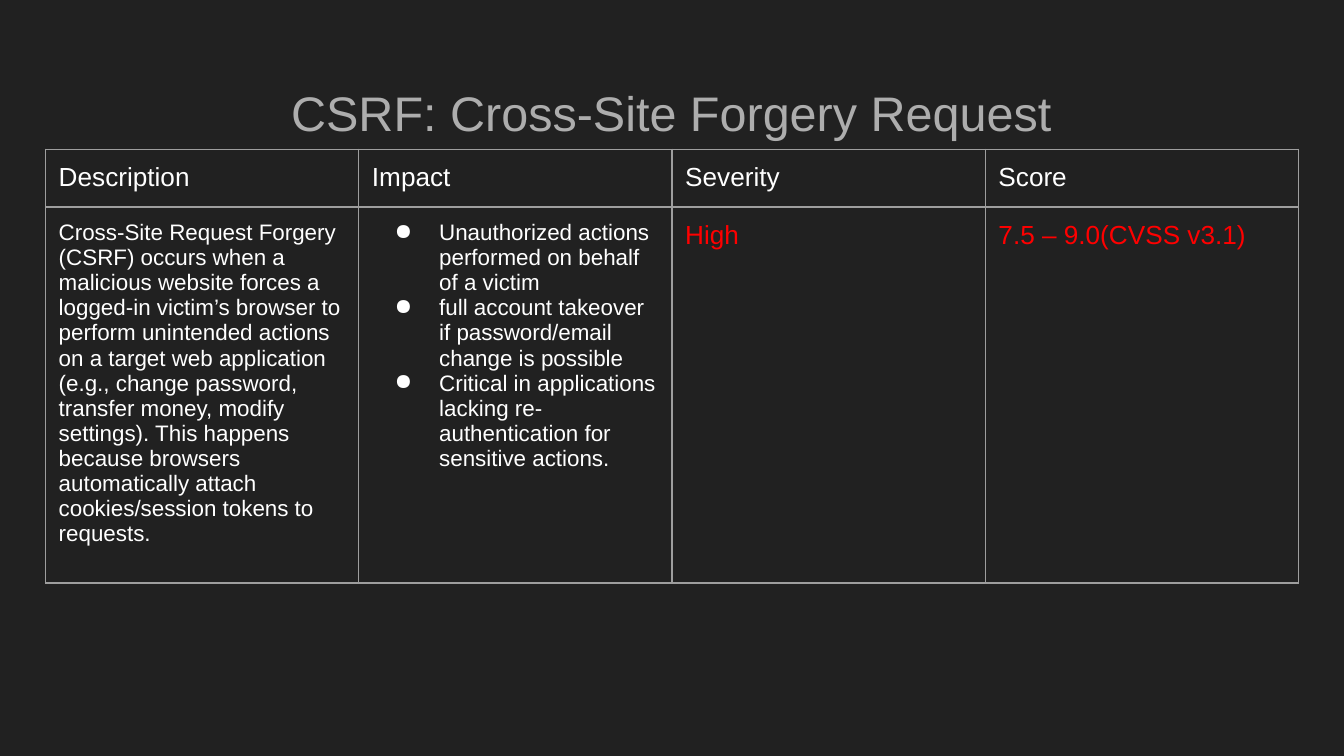
import pptx
import pptx.util
import pptx.dml.color
import pptx.enum.text
import pptx.oxml
import pptx.oxml.ns

Cm = pptx.util.Cm
Pt = pptx.util.Pt
hues = {"back": "212121", "title": "ADADAD", "text": "FFFFFF", "alert": "FF0000", "line": "9E9E9E"}
space = pptx.oxml.ns.nsdecls("a")
pad = Cm(0.25)


def add_run(para, text, size, hue):
    run = para.add_run()
    run.text = text
    run.font.name = "Arial"
    run.font.size = Pt(size)
    run.font.bold = False
    run.font.color.rgb = pptx.dml.color.RGBColor.from_string(hues[hue])


deck = pptx.Presentation()
deck.slide_width = Cm(25.4)
deck.slide_height = Cm(14.29)
slide = deck.slides.add_slide(deck.slide_layouts[6])
slide.background.fill.solid()
slide.background.fill.fore_color.rgb = pptx.dml.color.RGBColor.from_string(hues["back"])

title = slide.shapes.add_textbox(Cm(0.86), Cm(1.24), Cm(23.68), Cm(1.6))
frame = title.text_frame
frame.word_wrap = True
frame.vertical_anchor = pptx.enum.text.MSO_ANCHOR.MIDDLE
frame.margin_left = frame.margin_right = frame.margin_top = frame.margin_bottom = pad
para = frame.paragraphs[0]
para.alignment = pptx.enum.text.PP_ALIGN.CENTER
para.line_spacing = 1.15
para.space_after = Pt(12)
add_run(para, "CSRF: Cross-Site Forgery Request", 26, "title")

heads = ["Description", "Impact", "Severity", "Score"]
about = (
    "Cross-Site Request Forgery (CSRF) occurs when a malicious website forces a logged-in "
    "victim’s browser to perform unintended actions on a target web application (e.g., change "
    "password, transfer money, modify settings). This happens because browsers automatically "
    "attach cookies/session tokens to requests."
)
harms = [
    "Unauthorized actions performed on behalf of a victim",
    "full account takeover if password/email change is possible",
    "Critical in applications lacking re-authentication for sensitive actions.",
]
rows = [
    [([head], 14, "text") for head in heads],
    [([about], 12, "text"), (harms, 12, "text"), (["High"], 14, "alert"), (["7.5 – 9.0(CVSS v3.1)"], 14, "alert")],
]

table = slide.shapes.add_table(2, 4, Cm(0.86), Cm(2.82), Cm(23.68), Cm(7.73)).table
table.first_row = False
table.horz_banding = False
for col in table.columns:
    col.width = Cm(5.92)
for row, high in zip(table.rows, (1.06, 6.67)):
    row.height = Cm(high)

for r, row in enumerate(rows):
    for c, (texts, size, hue) in enumerate(row):
        cell = table.cell(r, c)
        cell.margin_left = cell.margin_right = cell.margin_top = cell.margin_bottom = pad
        props = cell._tc.get_or_add_tcPr()
        for side in ("lnL", "lnR", "lnT", "lnB"):
            props.append(pptx.oxml.parse_xml(
                f'<a:{side} {space} w="{Pt(0.75)}"><a:solidFill><a:srgbClr val="{hues["line"]}"/>'
                f'</a:solidFill></a:{side}>'))
        cell.fill.background()
        for n, text in enumerate(texts):
            para = cell.text_frame.paragraphs[0] if n == 0 else cell.text_frame.add_paragraph()
            if texts is harms:
                form = para._p.get_or_add_pPr()
                form.set("marL", str(Cm(1.27)))
                form.set("indent", str(-Cm(0.84)))
                form.append(pptx.oxml.parse_xml(
                    f'<a:buClr {space}><a:srgbClr val="{hues["text"]}"/></a:buClr>'))
                form.append(pptx.oxml.parse_xml(f'<a:buChar {space} char="●"/>'))
            add_run(para, text, size, hue)

deck.save("out.pptx")
